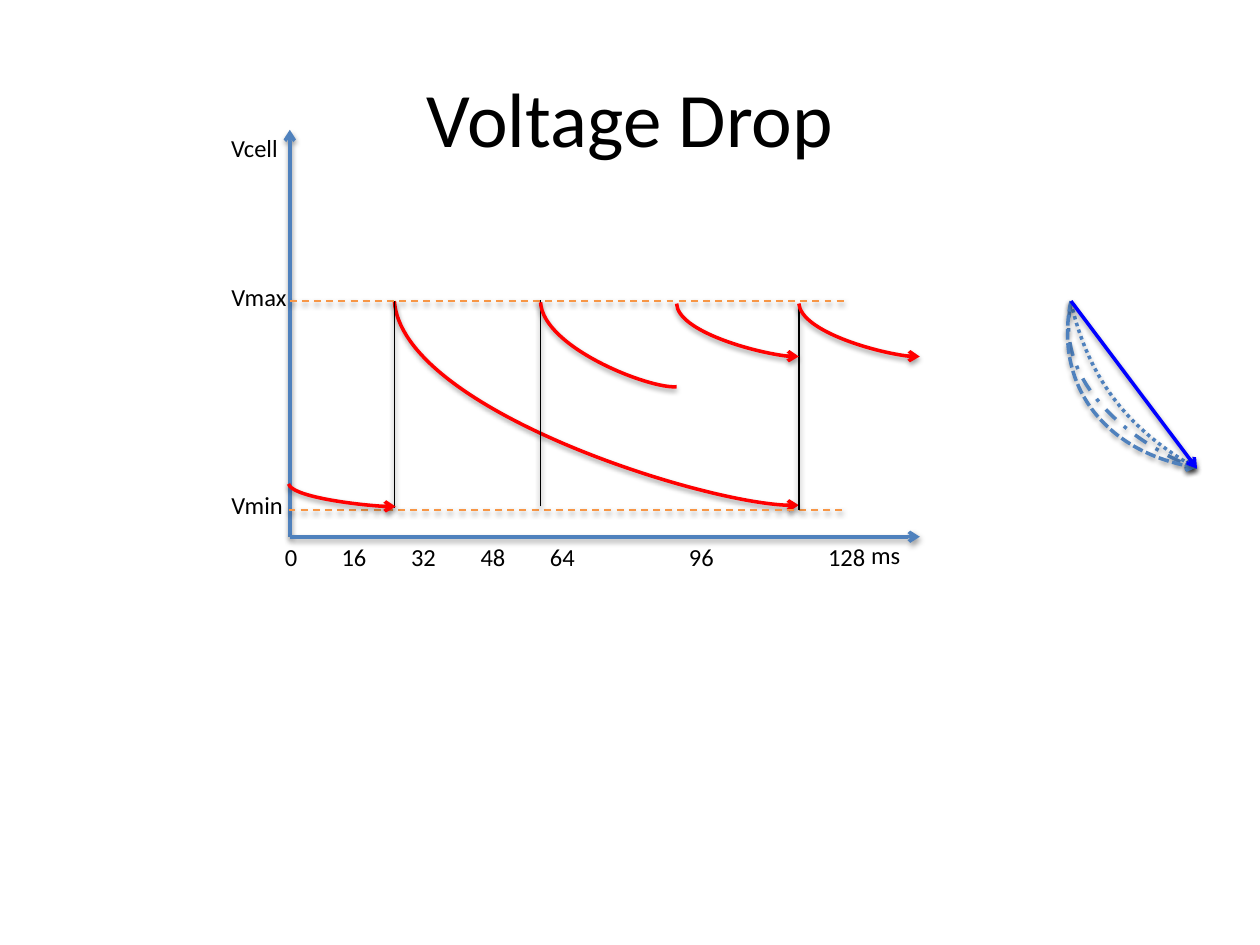
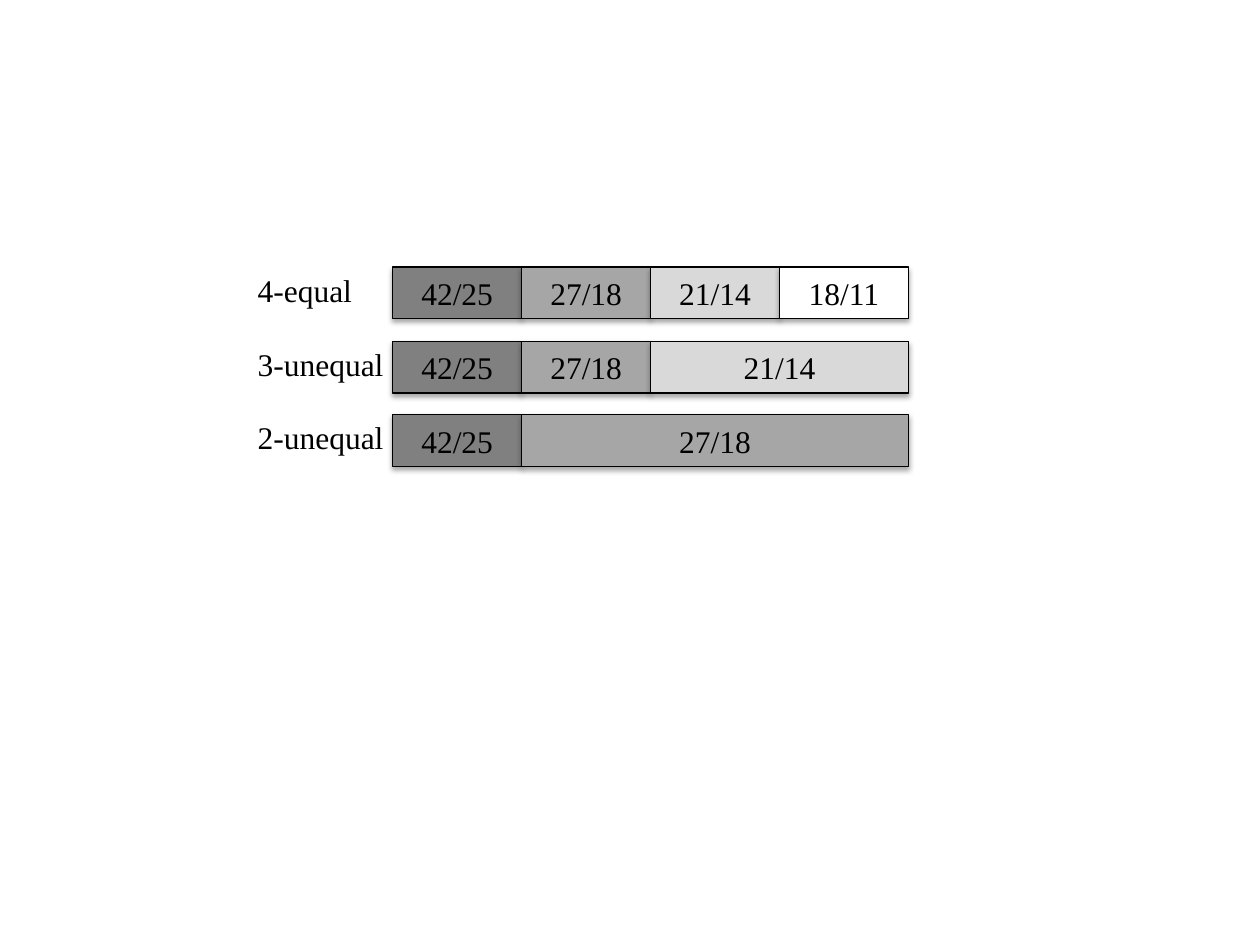
from lxml import etree
from pptx import Presentation
from pptx.dml.color import RGBColor
from pptx.enum import dml, shapes, text
from pptx.oxml import ns
from pptx.util import Inches, Pt

BLACK, RED, STEEL, ORANGE, BLUE = "000000", "FF0000", "4F81BD", "F79646", "0000FF"
CHART_FONT, BAR_FONT = "Calibri", "Times New Roman"
DASH = dml.MSO_LINE

# Voltage chart: text, left, top, width
TITLE = "Voltage Drop"
AXIS_LABELS = [
    ("Vcell", 1.73, 1.01, 0.58), ("Vmax", 1.73, 2.19, 0.65),
    ("Vmin", 1.73, 3.84, 0.62), ("ms", 6.81, 4.24, 0.44), ("0", 2.16, 4.25, 0.3),
]
TICKS = [16, 32, 48, 64, 96, 128]
TICK_TOP, FIRST_TICK_LEFT, LAST_TICK_LEFT = 4.25, 2.61, 6.47
LEFT_PER_MS = (LAST_TICK_LEFT - FIRST_TICK_LEFT) / (TICKS[-1] - TICKS[0])

ORIGIN = (2.3, 4.26)
V_MAX, V_MIN = 2.39, 4.05
ARROW = dict(color=STEEL, width=2, arrow=True)
LIMIT = dict(color=ORANGE, width=1, dash=DASH.DASH)
REFRESH = dict(color=BLACK, width=1)
DECAY = dict(color=RED, width=2, arrow=True)

# From back to front: start and end of a line, or start, two controls and end of a curve
STROKES = [
    ([ORIGIN, (2.3, 1.03)], ARROW),
    ([(3.13, 2.39), (3.19, 3.24), (5.73, 4.05), (6.34, 4.01)], DECAY),
    ([ORIGIN, (7.3, 4.26)], ARROW),
    ([(8.5, 2.41), (8.36, 3.07), (9.13, 3.59), (9.5, 3.72)], dict(ARROW, dash=DASH.DASH_DOT)),
    ([(8.5, 2.4), (8.67, 3.14), (9.15, 3.52), (9.5, 3.72)], dict(ARROW, dash=DASH.ROUND_DOT)),
    ([(8.5, 2.39), (8.36, 3.06), (8.81, 3.61), (9.5, 3.71)], dict(ARROW, dash=DASH.SQUARE_DOT)),
    ([(8.5, V_MAX), (9.5, 3.72)], dict(ARROW, color=BLUE)),
    ([(2.3, V_MAX), (6.7, V_MAX)], LIMIT),
    ([(2.29, V_MIN), (6.7, V_MIN)], LIMIT),
    ([(3.13, 4.03), (3.13, V_MAX)], REFRESH),
    ([(2.29, 3.84), (2.31, 3.94), (2.98, 4.03), (3.14, 4.02)], DECAY),
    ([(6.34, V_MIN), (6.34, 2.41)], REFRESH),
    ([(6.34, 2.41), (6.36, 2.63), (7.12, 2.85), (7.3, 2.83)], DECAY),
    ([(4.29, 4.02), (4.29, 2.38)], REFRESH),
    ([(4.29, 2.4), (4.31, 2.76), (5.16, 3.09), (5.37, 3.07)], dict(DECAY, arrow=False)),
    ([(5.37, 2.41), (5.38, 2.63), (6.16, 2.85), (6.34, 2.83)], DECAY),
]
CURVE_STEPS = 32

# Partition bars: label, its width, top of the bar, (value, units wide) for each part
BARS = [
    ("4-equal", 0.96, 2.12, [("42/25", 1), ("27/18", 1), ("21/14", 1), ("18/11", 1)]),
    ("3-unequal", 1.21, 2.71, [("42/25", 1), ("27/18", 1), ("21/14", 2)]),
    ("2-unequal", 1.21, 3.29, [("42/25", 1), ("27/18", 3)]),
]
PART_FILLS = ["808080", "A6A6A6", "D9D9D9", "FFFFFF"]
BAR_RIGHT, BAR_HEIGHT = 7.21, 0.41
BAR_UNIT = 3.07 / 3
BAR_LEFT = BAR_RIGHT - 4 * BAR_UNIT
BAR_LABEL_LEFT, BAR_LABEL_RISE = 1.94, 0.02


def rgb(color):
    return RGBColor.from_string(color)


def add_shadow(shape, alpha, distance):
    """Give the shape a soft black shadow straight below it."""
    effects = etree.SubElement(shape._element.spPr, ns.qn("a:effectLst"))
    shadow = etree.SubElement(
        effects, ns.qn("a:outerShdw"), blurRad=str(Pt(3.1)), dist=str(Pt(distance)),
        dir="5400000", rotWithShape="0")
    black = etree.SubElement(shadow, ns.qn("a:srgbClr"), val=BLACK)
    etree.SubElement(black, ns.qn("a:alpha"), val=str(alpha * 1000))


def format_stroke(shape, color, width, dash=None, arrow=False):
    line = shape.line
    line.color.rgb = rgb(color)
    line.width = Pt(width)
    if dash is not None:
        line.dash_style = dash
    if arrow:
        etree.SubElement(line._get_or_add_ln(), ns.qn("a:tailEnd"), type="arrow")
    add_shadow(shape, 38, 1.6)


def write(shape, words, font, size, **frame_format):
    """Put one centred black paragraph in the shape."""
    frame = shape.text_frame
    for name, value in frame_format.items():
        setattr(frame, name, value)
    para = frame.paragraphs[0]
    para.alignment = text.PP_ALIGN.CENTER
    span = para.add_run()
    span.text = words
    for name, value in dict(name=font, size=Pt(size)).items():
        setattr(span.font, name, value)
    span.font.color.rgb = rgb(BLACK)


def add_label(page, words, left, top, width, height, font, size):
    box = page.shapes.add_textbox(*map(Inches, (left, top, width, height)))
    write(box, words, font, size, word_wrap=False,
          auto_size=text.MSO_AUTO_SIZE.SHAPE_TO_FIT_TEXT)


def add_line(page, start, end):
    return page.shapes.add_connector(
        shapes.MSO_CONNECTOR.STRAIGHT, *map(Inches, start + end))


def bezier_point(controls, t):
    weights = ((1 - t) ** 3, 3 * t * (1 - t) ** 2, 3 * t ** 2 * (1 - t), t ** 3)
    return tuple(Inches(sum(w * value for w, value in zip(weights, axis)))
                 for axis in zip(*controls))


def add_curve(page, *controls):
    """Fit the box to the points on the curve, then draw it as one Bezier segment."""
    points = [bezier_point(controls, i / CURVE_STEPS) for i in range(CURVE_STEPS + 1)]
    builder = page.shapes.build_freeform(*points[0])
    builder.add_line_segments(points[1:], close=False)
    curve = builder.convert_to_shape()
    curve.fill.background()
    outline = curve._element.spPr.find(".//" + ns.qn("a:path"))
    for segment in outline.findall(ns.qn("a:lnTo")):
        outline.remove(segment)
    bend = etree.SubElement(outline, ns.qn("a:cubicBezTo"))
    for x, y in controls[1:]:
        etree.SubElement(bend, ns.qn("a:pt"), x=str(Inches(x) - curve.left),
                         y=str(Inches(y) - curve.top))
    return curve


def add_bar_part(page, value, fill, left, top, width):
    part = page.shapes.add_shape(
        shapes.MSO_SHAPE.RECTANGLE, *map(Inches, (left, top, width, BAR_HEIGHT)))
    part.fill.solid()
    part.fill.fore_color.rgb = rgb(fill)
    part.line.color.rgb = rgb(BLACK)
    part.line.width = Pt(0.75)
    add_shadow(part, 35, 1.8)
    write(part, value, BAR_FONT, 18, vertical_anchor=text.MSO_ANCHOR.MIDDLE)


def build_voltage_page(deck):
    page = deck.slides.add_slide(deck.slide_layouts[5])
    title = page.shapes.title
    place = dict(left=0.5, top=0.3, width=9, height=1.25)
    for name, value in place.items():
        setattr(title, name, Inches(value))
    write(title, TITLE, CHART_FONT, 44, vertical_anchor=text.MSO_ANCHOR.MIDDLE)
    for points, stroke in STROKES:
        draw = add_line if len(points) == 2 else add_curve
        format_stroke(draw(page, *points), **stroke)
    ticks = [(str(tick), FIRST_TICK_LEFT + LEFT_PER_MS * (tick - TICKS[0]),
              TICK_TOP, 0.2 + 0.1 * len(str(tick))) for tick in TICKS]
    for words, left, top, width in AXIS_LABELS + ticks:
        add_label(page, words, left, top, width, 0.34, CHART_FONT, 14)


def build_partition_page(deck):
    page = deck.slides.add_slide(deck.slide_layouts[6])
    for label, label_width, top, parts in BARS:
        left = BAR_LEFT
        for (value, units), fill in zip(parts, PART_FILLS):
            add_bar_part(page, value, fill, left, top, units * BAR_UNIT)
            left += units * BAR_UNIT
        add_label(page, label, BAR_LABEL_LEFT, top - BAR_LABEL_RISE, label_width, 0.4,
                  BAR_FONT, 18)


def main():
    deck = Presentation()
    deck.slide_width, deck.slide_height = Inches(10), Inches(7.5)
    build_voltage_page(deck)
    build_partition_page(deck)
    deck.save("out.pptx")


if __name__ == "__main__":
    main()
